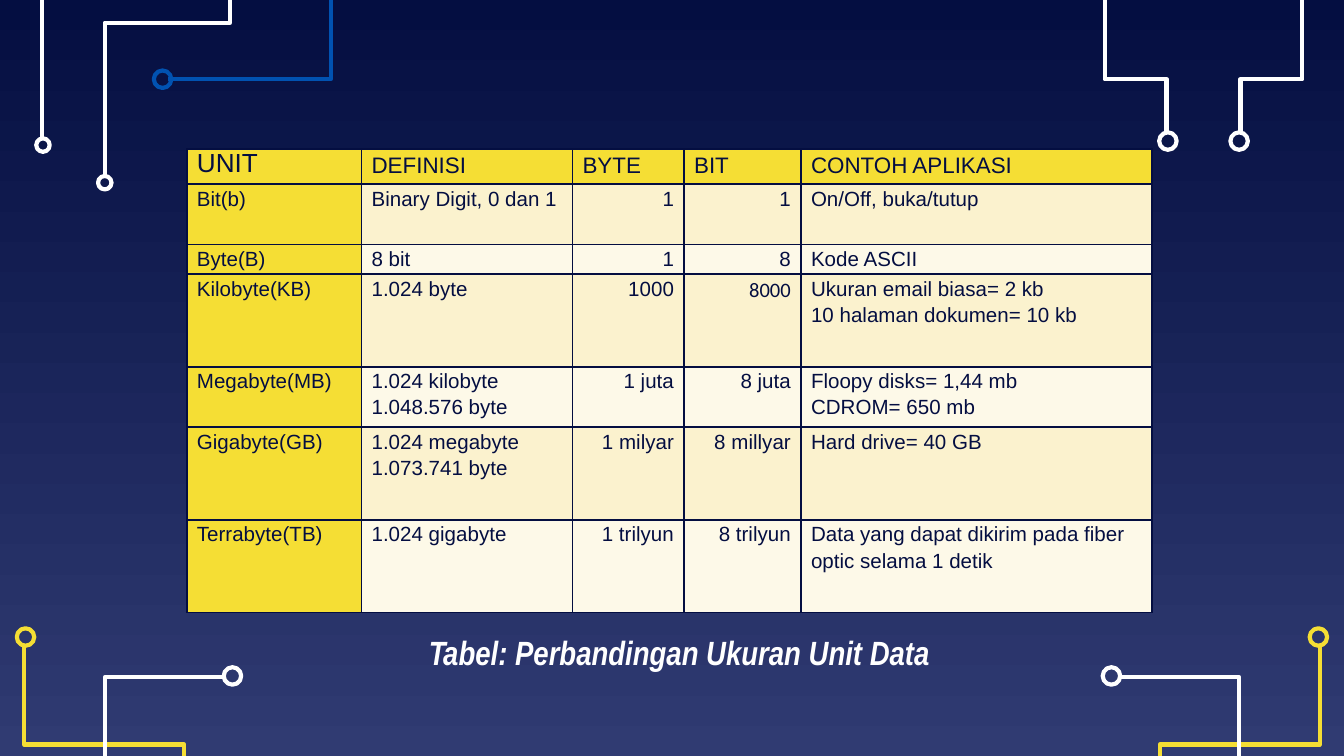
"""Builds a slide with a table of data units framed by circuit traces."""
from itertools import product

from lxml.etree import SubElement
from pptx import Presentation
from pptx.dml.color import RGBColor
from pptx.enum.shapes import MSO_CONNECTOR, MSO_SHAPE
from pptx.enum.text import MSO_ANCHOR, PP_ALIGN
from pptx.oxml.ns import qn
from pptx.util import Inches, Pt

THEME = {
    "navy": "040E41", "slate": "303B72", "white": "FFFFFF", "blue": "0152B1",
    "yellow": "F5DE34", "bands": ("FBF2CE", "FDF9E8"),
    "body_font": "Arial", "number_font": "Calibri", "caption_font": "Arial Narrow",
    "corner": 14, "header": 12, "body": 11, "caption": 18, "trace": 2.25, "border": 1,
}

SLIDE_WIDTH = 10
SLIDE_HEIGHT = SLIDE_WIDTH * 9 / 16
CAPTION = "Tabel: Perbandingan Ukuran Unit Data"
TABLE_LEFT, TABLE_TOP = 1.39, 1.11
COLUMN_WIDTHS = [1.3, 1.57, 0.83, 0.87, 2.61]
ROW_HEIGHTS = [0.26, 0.45, 0.22, 0.69, 0.45, 0.69, 0.69]
NUMBER_COLUMNS = (2, 3)
CALIBRI_CELL = (3, 3)
ROWS = [
    ["UNIT", "DEFINISI", "BYTE", "BIT", "CONTOH APLIKASI"],
    ["Bit(b)", "Binary Digit, 0 dan 1", "1", "1", "On/Off, buka/tutup"],
    ["Byte(B)", "8 bit", "1", "8", "Kode ASCII"],
    ["Kilobyte(KB)", "1.024 byte", "1000", "8000",
     "Ukuran email biasa= 2 kb\n10 halaman dokumen= 10 kb"],
    ["Megabyte(MB)", "1.024 kilobyte\n1.048.576 byte", "1 juta", "8 juta",
     "Floopy disks= 1,44 mb\nCDROM= 650 mb"],
    ["Gigabyte(GB)", "1.024 megabyte\n1.073.741 byte", "1 milyar", "8 millyar",
     "Hard drive= 40 GB"],
    ["Terrabyte(TB)", "1.024 gigabyte", "1 trilyun", "8 trilyun",
     "Data yang dapat dikirim pada fiber optic selama 1 detik"],
]

CIRCUITS = [
    {"color_name": "white", "centre": (8.69, 1.05), "size": 0.13, "mirror": 17.91,
     "points": [(8.68, 1), (8.68, 0.59), (8.22, 0.59), (8.22, 0)]},
    {"color_name": "yellow", "centre": (0.19, 4.74), "size": 0.13, "mirror": SLIDE_WIDTH,
     "points": [(0.18, 4.8), (0.18, 5.54), (1.37, 5.54), (1.37, SLIDE_HEIGHT)]},
    {"color_name": "white", "centre": (1.73, 5.03), "size": 0.13, "mirror": SLIDE_WIDTH,
     "points": [(1.67, 5.04), (0.78, 5.04), (0.78, SLIDE_HEIGHT)]},
    {"color_name": "blue", "centre": (1.21, 0.59), "size": 0.13, "mirror": None,
     "points": [(1.25, 0.59), (2.46, 0.59), (2.46, 0)]},
    {"color_name": "white", "centre": (0.32, 1.08), "size": 0.1, "mirror": None,
     "points": [(0.31, 1.04), (0.31, 0)]},
    {"color_name": "white", "centre": (0.78, 1.36), "size": 0.1, "mirror": None,
     "points": [(0.78, 1.32), (0.78, 0.17), (1.71, 0.17), (1.71, 0)]},
]


def apply(target, formats):
    for name, value in formats.items():
        setattr(target, name, value)


def color(name):
    return RGBColor.from_string(THEME.get(name, name))


def style_line(shape, color_name):
    shape.line.color.rgb = color(color_name)
    shape.line.width = Pt(THEME["trace"])


def write(frame, text, font, color_name, paragraph_format):
    frame.text = text
    for para in frame.paragraphs:
        apply(para, paragraph_format)
        for span in para.runs:
            apply(span.font, font)
            span.font.color.rgb = color(color_name)


def draw_circuit(page, color_name, centre, size, points):
    corners = [(Inches(x), Inches(y)) for x, y in points]
    if len(corners) == 2:
        trace = page.shapes.add_connector(MSO_CONNECTOR.STRAIGHT, *corners[0], *corners[1])
        SubElement(trace.element.spPr, qn("a:effectLst"))
    else:
        builder = page.shapes.build_freeform(*corners[0])
        builder.add_line_segments(corners[1:], close=False)
        trace = builder.convert_to_shape()
        trace.fill.background()
        trace.shadow.inherit = False
    style_line(trace, color_name)
    left, top = [Inches(value - size / 2) for value in centre]
    ring = page.shapes.add_shape(MSO_SHAPE.OVAL, left, top, Inches(size), Inches(size))
    ring.fill.background()
    ring.shadow.inherit = False
    style_line(ring, color_name)


def add_borders(cell):
    properties = cell._tc.get_or_add_tcPr()
    for side in "LRTB":
        border = SubElement(properties, qn(f"a:ln{side}"), w=str(Pt(THEME["border"])))
        fill = SubElement(border, qn("a:solidFill"))
        SubElement(fill, qn("a:srgbClr"), val=THEME["navy"])


def add_unit_table(page):
    table = page.shapes.add_table(
        len(ROWS), len(COLUMN_WIDTHS), Inches(TABLE_LEFT), Inches(TABLE_TOP),
        Inches(sum(COLUMN_WIDTHS)), Inches(sum(ROW_HEIGHTS))).table
    apply(table, {"first_row": False, "horz_banding": False})
    for column, width in zip(table.columns, COLUMN_WIDTHS):
        column.width = Inches(width)
    for row, height in zip(table.rows, ROW_HEIGHTS):
        row.height = Inches(height)
    for r, c in product(range(len(ROWS)), range(len(COLUMN_WIDTHS))):
        cell = table.cell(r, c)
        apply(cell, {"margin_left": Pt(5.4), "margin_right": Pt(5.4),
                     "margin_top": 0, "margin_bottom": 0})
        add_borders(cell)
        cell.fill.solid()
        is_label = r == 0 or c == 0
        cell.fill.fore_color.rgb = color("yellow" if is_label else THEME["bands"][(r - 1) % 2])
        size = "body" if r else "header" if c else "corner"
        face = "number_font" if (r, c) == CALIBRI_CELL else "body_font"
        is_number = r > 0 and c in NUMBER_COLUMNS
        write(cell.text_frame, ROWS[r][c],
              {"name": THEME[face], "size": Pt(THEME[size])}, "navy",
              {"alignment": PP_ALIGN.RIGHT if is_number else PP_ALIGN.LEFT,
               "line_spacing": 1.0 if size == "corner" else 1.15})


def add_caption(page):
    box = page.shapes.add_textbox(Inches(TABLE_LEFT), Inches(4.7),
                                  Inches(sum(COLUMN_WIDTHS)), Inches(0.54))
    apply(box.text_frame, {"word_wrap": True, "vertical_anchor": MSO_ANCHOR.TOP,
                           "margin_left": Inches(0.25), "margin_right": Inches(0.1),
                           "margin_top": 0, "margin_bottom": 0})
    write(box.text_frame, CAPTION,
          {"name": THEME["caption_font"], "size": Pt(THEME["caption"]),
           "bold": True, "italic": True}, "white",
          {"alignment": PP_ALIGN.CENTER})


def main():
    deck = Presentation()
    apply(deck, {"slide_width": Inches(SLIDE_WIDTH), "slide_height": Inches(SLIDE_HEIGHT)})
    page = deck.slides.add_slide(deck.slide_layouts[6])
    backdrop = page.background.fill
    backdrop.gradient()
    backdrop.gradient_angle = 270
    for stop, name in zip(backdrop.gradient_stops, ("navy", "slate")):
        stop.color.rgb = color(name)
    for circuit in CIRCUITS:
        color_name, centre, size, mirror, points = circuit.values()
        draw_circuit(page, color_name, centre, size, points)
        if mirror:
            flipped = [(mirror - x, y) for x, y in [centre, *points]]
            draw_circuit(page, color_name, flipped[0], size, flipped[1:])
    add_caption(page)
    add_unit_table(page)
    deck.save("out.pptx")


if __name__ == "__main__":
    main()
